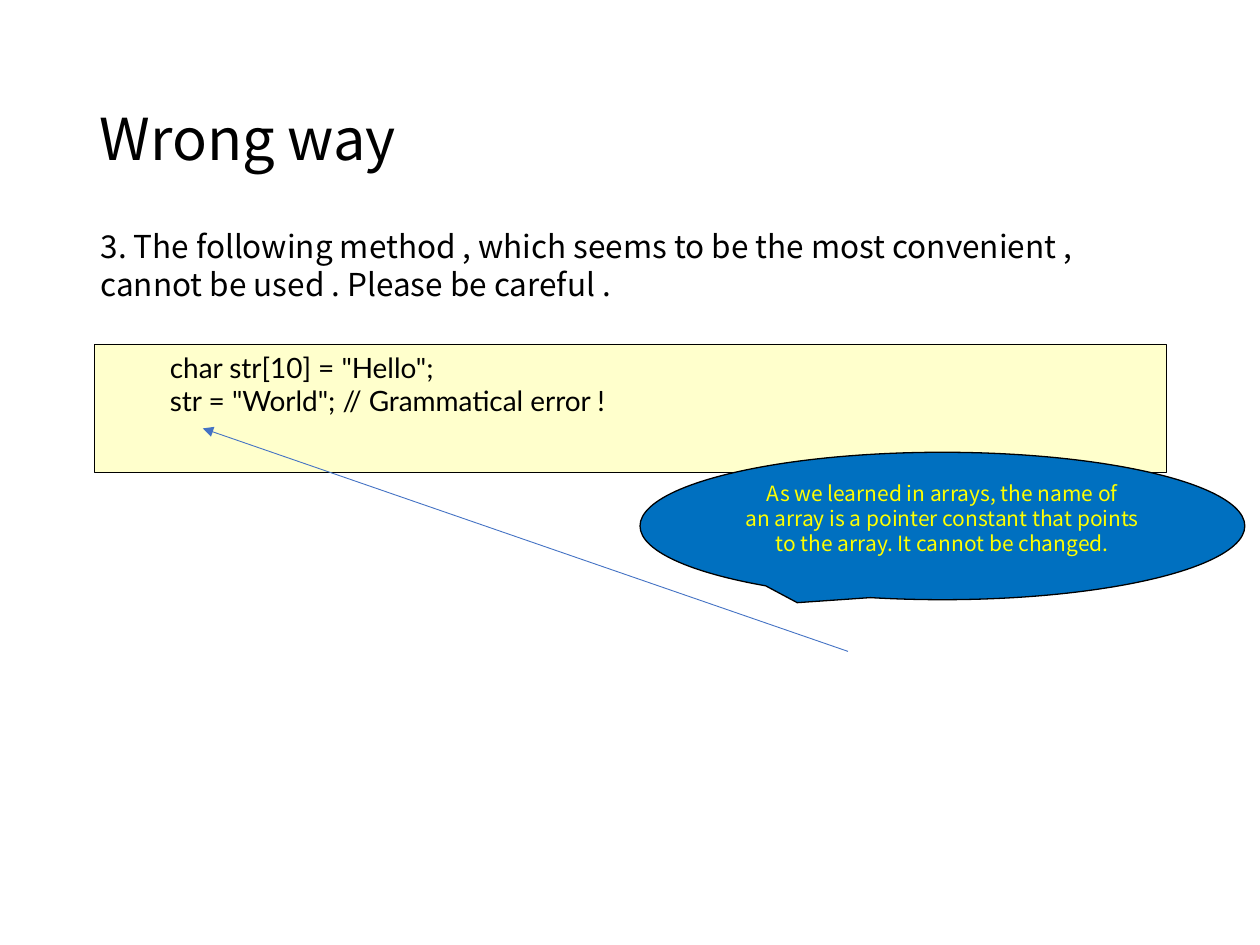
from pptx import Presentation
from pptx.dml.color import RGBColor
from pptx.enum.shapes import MSO_CONNECTOR as Wire, MSO_SHAPE as Kind
from pptx.enum.text import MSO_ANCHOR as Anchor, PP_ALIGN as Align
from pptx.oxml.ns import qn
from pptx.util import Inches, Pt
from lxml.etree import SubElement


def color(code):
    return RGBColor.from_string(code)


class Deck:
    """Holds the style and the current slide, and adds elements to it."""

    sans, mono = "Noto Sans CJK KR", "Lato"
    ink, cream, blue, yellow, wire = "000000", "FFFFCC", "0070C0", "FFFF00", "4472C4"

    def __init__(self):
        self.show = Presentation()
        self.show.slide_width, self.show.slide_height = Inches(10), Inches(7.5)
        self.slide = self.show.slides.add_slide(self.show.slide_layouts[5])

    def fill_text(self, frame, lines, size, font, ink, align=Align.LEFT, indent=0, space=None):
        frame.word_wrap = True
        for i, line in enumerate(lines):
            para = frame.add_paragraph() if i else frame.paragraphs[0]
            para.alignment = align
            para.line_spacing = space
            if indent:
                para.level = 1
                props = para._p.get_or_add_pPr()
                props.set("marL", str(Inches(indent)))
                props.set("indent", "0")
            run = para.add_run()
            run.text = line
            run.font.size, run.font.name = Pt(size), font
            run.font.color.rgb = color(ink)

    def title(self, text, box):
        shape = self.slide.shapes.title
        shape.left, shape.top, shape.width, shape.height = map(Inches, box)
        shape.text_frame.vertical_anchor = Anchor.MIDDLE
        self.fill_text(shape.text_frame, [text], 33, self.sans, self.ink, space=0.9)

    def text(self, text, box):
        shape = self.slide.shapes.add_textbox(*map(Inches, box))
        self.fill_text(shape.text_frame, [text], 18, self.sans, self.ink)

    def shape(self, kind, box, fill, width):
        shape = self.slide.shapes.add_shape(kind, *map(Inches, box))
        shape.shadow.inherit = False
        shape.fill.solid()
        shape.fill.fore_color.rgb = color(fill)
        shape.line.color.rgb = color(self.ink)
        shape.line.width = Pt(width)
        shape.text_frame.vertical_anchor = Anchor.TOP
        return shape

    def listing(self, lines, box):
        shape = self.shape(Kind.RECTANGLE, box, self.cream, 0.25)
        self.fill_text(shape.text_frame, lines, 16, self.mono, self.ink, indent=0.5)

    def callout(self, lines, box, tip):
        shape = self.shape(Kind.OVAL_CALLOUT, box, self.blue, 0.75)
        shape.adjustments[0], shape.adjustments[1] = tip
        self.fill_text(shape.text_frame, lines, 12, self.sans, self.yellow, Align.CENTER)

    def arrow(self, start, end):
        line = self.slide.shapes.add_connector(Wire.STRAIGHT, *map(Inches, start + end))
        line.line.color.rgb = color(self.wire)
        line.line.width = Pt(0.5)
        props = line._element.spPr
        SubElement(props.find(qn("a:ln")), qn("a:tailEnd"), type="triangle")
        SubElement(props, qn("a:effectLst"))

    def save(self):
        self.show.save("out.pptx")


def main():
    deck = Deck()
    deck.listing(
        ['char str[10] = "Hello";', 'str = "World"; // Grammatical error !'],
        (0.75, 2.73, 8.51, 1.02),
    )
    deck.title("Wrong way", (0.69, 0.4, 8.62, 1.45))
    deck.text(
        "3. The following method , which seems to be the most convenient , "
        "cannot be used . Please be careful .",
        (0.7, 1.75, 8.74, 0.71),
    )
    deck.callout(
        [
            "As we learned in arrays, the name of",
            "an array is a pointer constant that points to the array. It cannot be changed.",
        ],
        (5.08, 3.59, 4.8, 1.17),
        (-0.24, 0.52),
    )
    deck.arrow((6.73, 5.17), (1.61, 3.4))
    deck.save()


if __name__ == "__main__":
    main()
